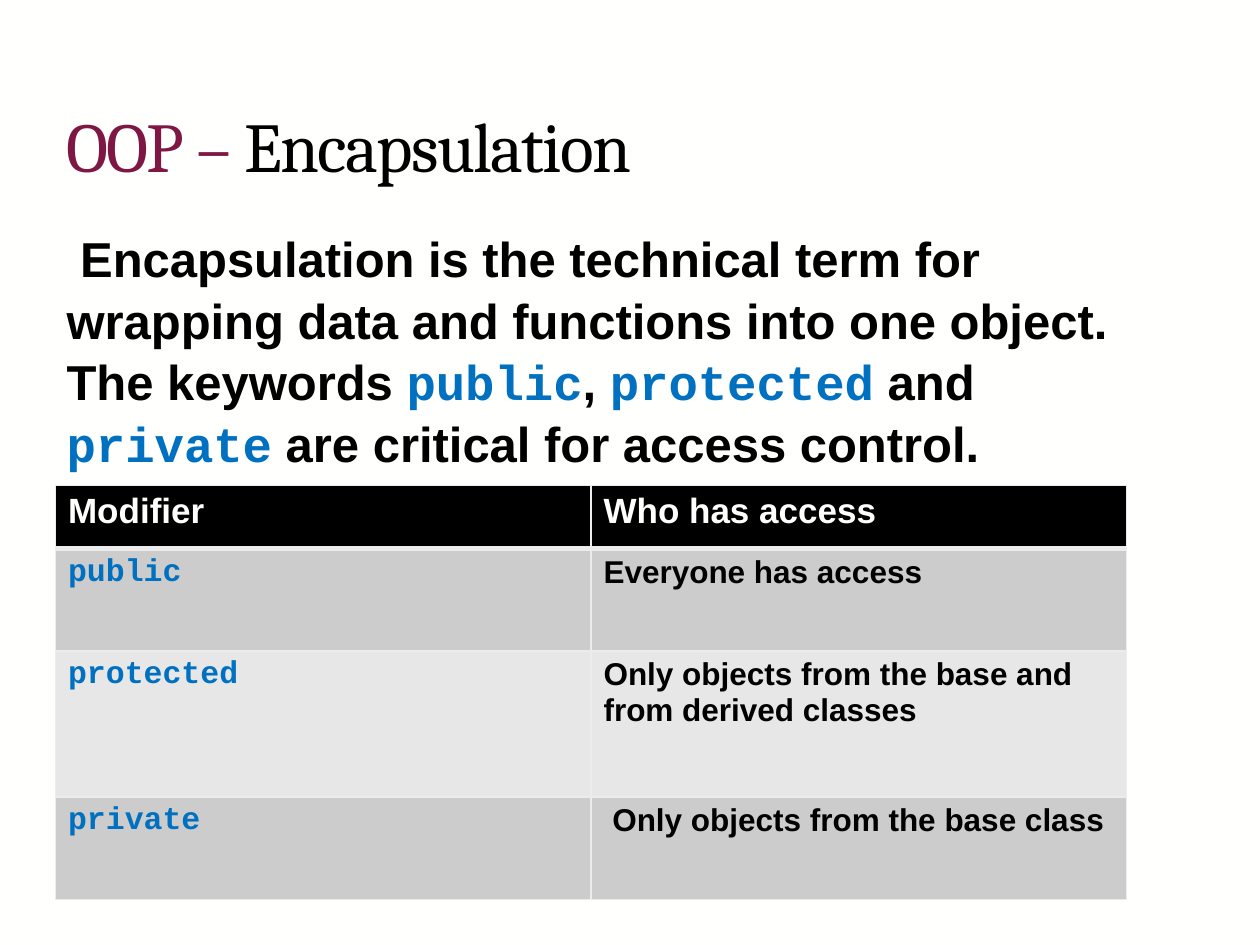
from dataclasses import dataclass

from lxml import etree
from pptx import Presentation
from pptx import util as u
from pptx.dml.color import RGBColor
from pptx.enum import shapes, text
from pptx.oxml import ns

Pt = u.Pt


@dataclass(frozen=True)
class Theme:
    paper: str = "FFFFFE"
    ink: str = "000000"
    accent: str = "7F1745"
    keyword: str = "0070C0"
    border: str = "ECECEC"
    bands: tuple = ("CCCCCC", "E7E7E7")
    title_font: str = "Cambria"
    body_font: str = "Arial"
    code_font: str = "Courier New"
    title_size: int = 40
    body_size: int = 28
    header_size: int = 20
    cell_size: int = 18


T = Theme()
LEFT, WIDTH = 31, 612
KEYWORDS = ("public", "protected", "private")
ACCESS = (
    "Everyone has access",
    "Only objects from the base and from derived classes",
    " Only objects from the base class",
)
ROW_HEIGHTS = (36, 58.5, 83.5, 58.5)


def fill(target, color):
    target.fill.solid()
    target.fill.fore_color.rgb = RGBColor.from_string(color)


def add_run(p, content, size, color=T.ink, font=T.body_font, bold=True):
    r = p.add_run()
    r.text = content
    r.font.size = Pt(size)
    r.font.name = font
    r.font.bold = bold
    r.font.color.rgb = RGBColor.from_string(color)
    return r


def add_code(p, content, size):
    add_run(p, content, size, T.keyword, T.code_font)


def add_title(s):
    sp = s.shapes.add_textbox(Pt(LEFT), Pt(37.5), Pt(WIDTH), Pt(90))
    tf = sp.text_frame
    tf.word_wrap = True
    tf.vertical_anchor = text.MSO_ANCHOR.MIDDLE
    for content, color in (("OOP – ", T.accent), ("Encapsulation", T.ink)):
        r = add_run(tf.paragraphs[0], content, T.title_size, color,
                    T.title_font, bold=False)
        r.font._element.set("spc", "-100")  # tighten letters by 1 pt


def add_definition(s):
    sp = s.shapes.add_shape(shapes.MSO_SHAPE.RECTANGLE,
                            Pt(LEFT), Pt(125.3), Pt(WIDTH), Pt(177))
    sp.shadow.inherit = False
    fill(sp, T.paper)
    sp.line.fill.background()
    tf = sp.text_frame
    tf.word_wrap = True
    tf.vertical_anchor = text.MSO_ANCHOR.TOP
    p = tf.paragraphs[0]
    p.alignment = text.PP_ALIGN.LEFT
    p.line_spacing = 1.05
    add_run(p, " Encapsulation is the technical term for wrapping data and "
               "functions into one object. The keywords ", T.body_size)
    endings = (", ", " and ", " are critical for access control.")
    for keyword, ending in zip(KEYWORDS, endings):
        add_code(p, keyword, T.body_size)
        add_run(p, ending, T.body_size)


def set_borders(cell, bottom):
    """Draw 1 pt borders, with the bottom one as wide as given."""
    tc_pr = cell._tc.get_or_add_tcPr()
    widths = (("a:lnL", 1), ("a:lnR", 1), ("a:lnT", 1), ("a:lnB", bottom))
    for i, (tag, width) in enumerate(widths):
        ln = etree.Element(ns.qn(tag), w=str(Pt(width)))
        solid = etree.SubElement(ln, ns.qn("a:solidFill"))
        etree.SubElement(solid, ns.qn("a:srgbClr"), val=T.border)
        tc_pr.insert(i, ln)


def add_access_table(s):
    frame = s.shapes.add_table(len(ROW_HEIGHTS), 2, Pt(LEFT + 0.7), Pt(277.5),
                               Pt(WIDTH), Pt(sum(ROW_HEIGHTS)))
    table = frame.table
    for row, height in zip(table.rows, ROW_HEIGHTS):
        row.height = Pt(height)

    for i, row in enumerate(table.rows):
        for cell in row.cells:
            fill(cell, T.bands[(i - 1) % 2] if i else T.ink)
            set_borders(cell, 1 if i else 3)
    for cell, heading in zip(table.rows[0].cells, ("Modifier", "Who has access")):
        add_run(cell.text_frame.paragraphs[0], heading, T.header_size, T.paper)
    for i, (keyword, access) in enumerate(zip(KEYWORDS, ACCESS), 1):
        add_code(table.cell(i, 0).text_frame.paragraphs[0], keyword, T.cell_size)
        add_run(table.cell(i, 1).text_frame.paragraphs[0], access, T.cell_size)
        if i > 1:
            for cell in table.rows[i].cells:
                cell._tc.get_or_add_tcPr().find(ns.qn("a:lnT")).set("w", str(Pt(1)))
    for cell in table.rows[1].cells:
        cell._tc.get_or_add_tcPr().find(ns.qn("a:lnT")).set("w", str(Pt(3)))


def main():
    prs = Presentation()
    prs.slide_width, prs.slide_height = Pt(720), Pt(540)
    s = prs.slides.add_slide(prs.slide_layouts[6])
    fill(s.background, T.paper)
    add_title(s)
    add_definition(s)
    add_access_table(s)
    prs.save("out.pptx")


if __name__ == "__main__":
    main()
